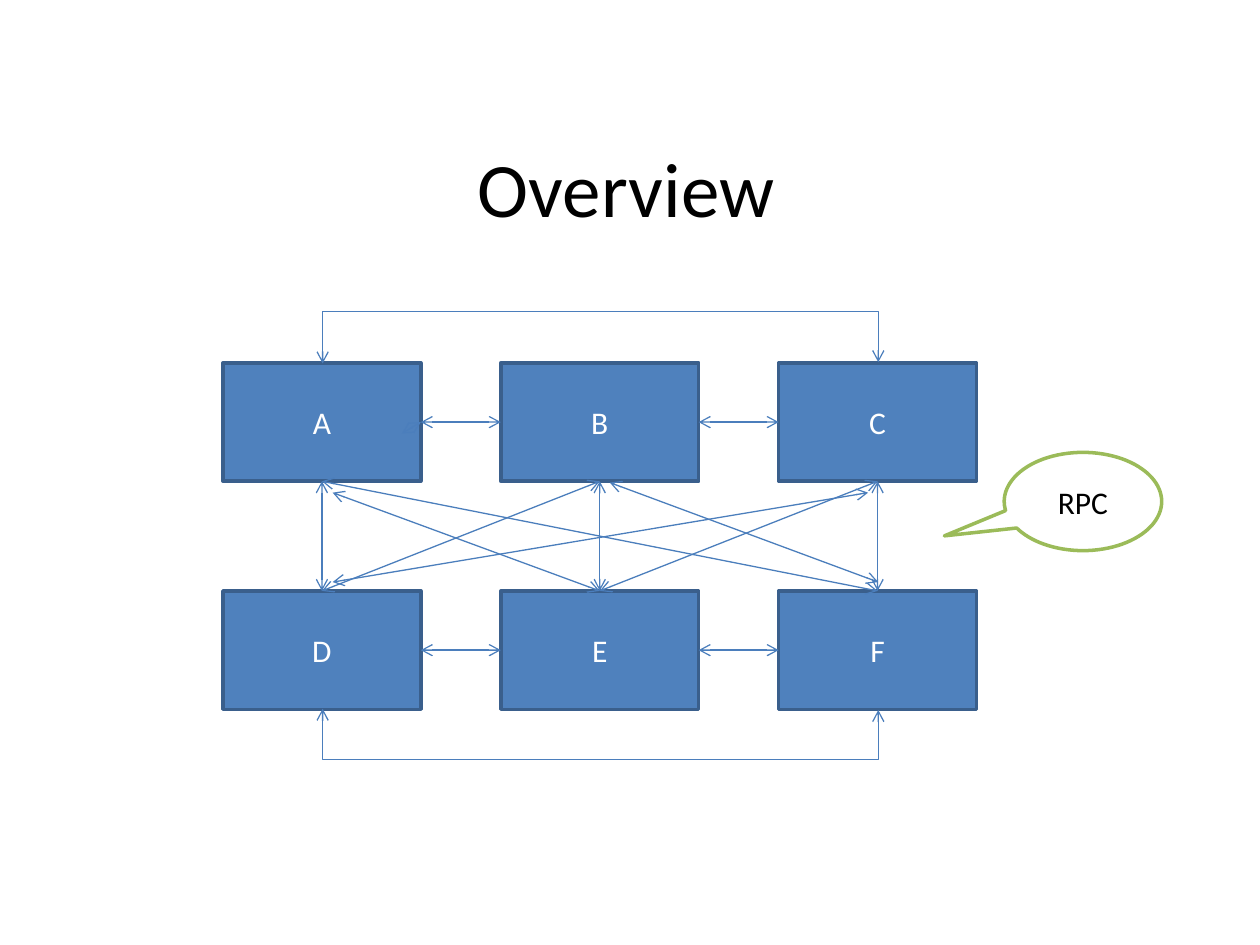
"""Build the overview slide: six linked nodes and an RPC callout."""
import pptx
import pptx.dml.color
import pptx.enum.shapes
import pptx.enum.text
import pptx.oxml
import pptx.oxml.ns
import pptx.util

Inches = pptx.util.Inches
RGBColor = pptx.dml.color.RGBColor
SHAPE = pptx.enum.shapes.MSO_SHAPE
CONNECTOR = pptx.enum.shapes.MSO_CONNECTOR

BLACK = RGBColor(0x00, 0x00, 0x00)
WHITE = RGBColor(0xFF, 0xFF, 0xFF)
NODE_BLUE = RGBColor(0x4F, 0x81, 0xBD)
EDGE_BLUE = RGBColor(0x3A, 0x5F, 0x8C)
LINK_BLUE = RGBColor(0x4B, 0x7E, 0xBC)
GREEN = RGBColor(0x9B, 0xBB, 0x59)

FRAME_FORMAT = {"word_wrap": True, "vertical_anchor": pptx.enum.text.MSO_ANCHOR.MIDDLE}
TOP, LEFT, BOTTOM, RIGHT = range(4)
NODE_WIDTH, NODE_HEIGHT = 1.57, 0.94
FIRST_LEFT, LAST_LEFT = 1.77, 6.18
ROWS = (("DEF", 4.69), ("ABC", 2.88))


def write(box, text, size, color):
    for name, value in FRAME_FORMAT.items():
        setattr(box.text_frame, name, value)
    para = box.text_frame.paragraphs[0]
    para.alignment = pptx.enum.text.PP_ALIGN.CENTER
    span = para.add_run()
    span.text = text
    font_format = {"name": "Calibri", "size": pptx.util.Pt(size)}
    for name, value in font_format.items():
        setattr(span.font, name, value)
    span.font.color.rgb = color


def add_link(kind, start, end):
    link = page.shapes.add_connector(kind, *(Inches(v) for v in (*start, *end)))
    link.line.width = pptx.util.Pt(0.75)
    link.line.color.rgb = LINK_BLUE
    outline = link.line._get_or_add_ln()
    for tag in ("a:headEnd", "a:tailEnd"):
        pptx.oxml.ns.qn(tag)
        outline.append(pptx.oxml.parse_xml(f'<{tag} {pptx.oxml.ns.nsdecls("a")} type="arrow"/>'))
    link._element.spPr.append(pptx.oxml.parse_xml(f'<a:effectLst {pptx.oxml.ns.nsdecls("a")}/>'))
    return link


deck = pptx.Presentation()
deck.slide_width, deck.slide_height = Inches(10), Inches(7.5)
page = deck.slides.add_slide(deck.slide_layouts[6])

title = page.shapes.add_textbox(Inches(0.47), Inches(0.86), Inches(9), Inches(1.25))
write(title, "Overview", 44, BLACK)

nodes = {}
for letters, top in ROWS:
    for column, letter in enumerate(letters):
        left = FIRST_LEFT + column * (LAST_LEFT - FIRST_LEFT) / 2
        nodes[letter] = page.shapes.add_shape(
            SHAPE.RECTANGLE, Inches(left), Inches(top), Inches(NODE_WIDTH), Inches(NODE_HEIGHT))
        nodes[letter].fill.solid()
        nodes[letter].fill.fore_color.rgb = NODE_BLUE
        nodes[letter].line.color.rgb = EDGE_BLUE
        write(nodes[letter], letter, 18, WHITE)

stub = add_link(CONNECTOR.STRAIGHT, (3.19, 3.44), (3.34, 3.35))
stub.end_connect(nodes["A"], RIGHT)

joined = [(pair, RIGHT, LEFT) for pair in ("AB", "BC", "EF", "DE")]
joined += [(pair, BOTTOM, TOP) for pair in ("AD", "BE", "CF", "BD", "CE", "AF")]
for (first, second), first_side, second_side in joined:
    link = add_link(CONNECTOR.STRAIGHT, (0, 0), (0, 0))
    link.begin_connect(nodes[first], first_side)
    link.end_connect(nodes[second], second_side)

diagonal = add_link(CONNECTOR.STRAIGHT, (2.64, 3.91), (4.76, 4.69))
diagonal.end_connect(nodes["E"], TOP)
add_link(CONNECTOR.STRAIGHT, (4.84, 3.83), (6.97, 4.62))
add_link(CONNECTOR.STRAIGHT, (6.89, 3.91), (2.64, 4.62))

center, half_span, thickness = 4.76, (LAST_LEFT - FIRST_LEFT) / 2, 0.01
for level, rise, turn, direction in ((2.88, 0.42, 90, 1), (5.63, 0.41, 270, -1)):
    loop = add_link(
        CONNECTOR.ELBOW,
        (center + thickness, level + direction * half_span),
        (center, level - direction * half_span))
    loop.rotation = turn
    guides = loop._element.spPr.prstGeom.get_or_add_avLst()
    guides.append(pptx.oxml.parse_xml(
        f'<a:gd {pptx.oxml.ns.nsdecls("a")} name="adj1" fmla="val {round(rise / thickness * 100000)}"/>'))

callout = page.shapes.add_shape(
    SHAPE.OVAL_CALLOUT, Inches(7.97), Inches(3.59), Inches(1.25), Inches(0.78))
callout.adjustments[0], callout.adjustments[1] = -0.88, 0.35
callout.fill.solid()
callout.fill.fore_color.rgb = WHITE
callout.line.color.rgb = GREEN
write(callout, "RPC", 18, BLACK)

for box in (*nodes.values(), callout):
    box.shadow.inherit = False
    box.line.width = pptx.util.Pt(2)

deck.save("out.pptx")
